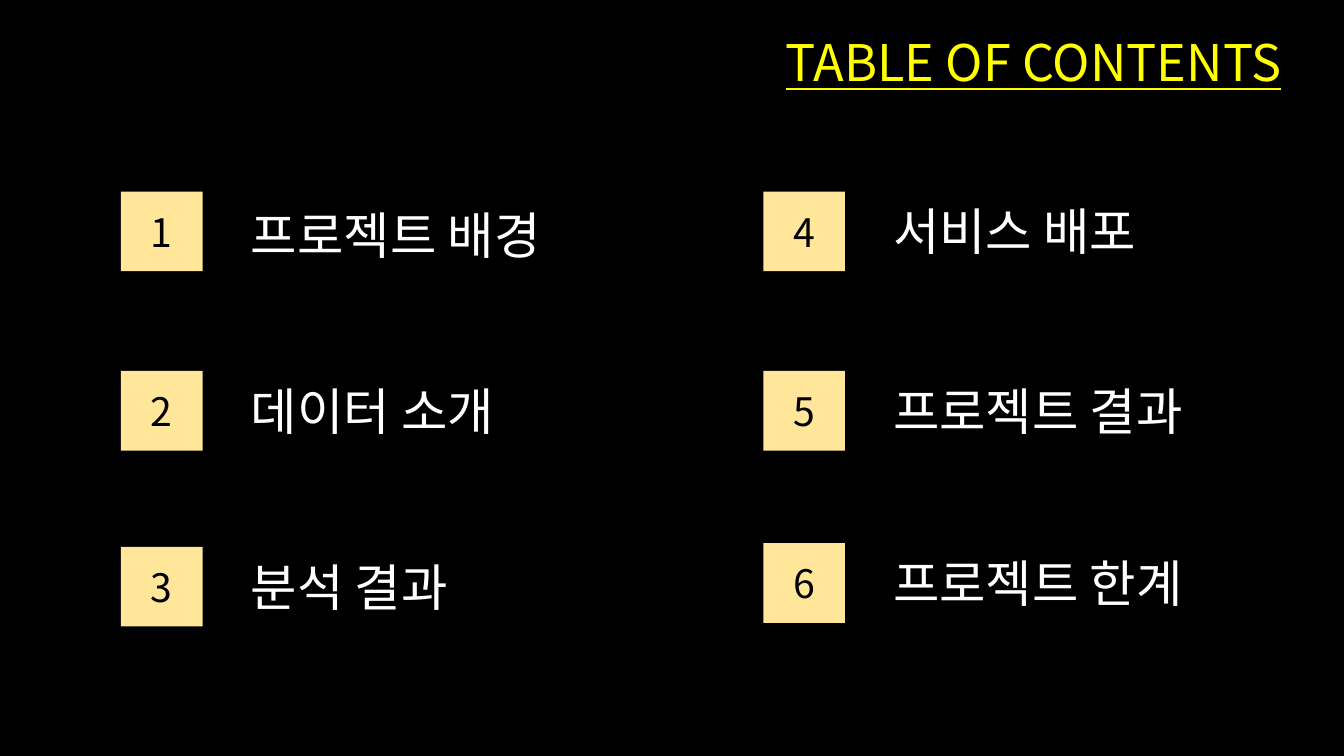
from dataclasses import dataclass

from lxml import etree
from pptx import Presentation
from pptx.dml.color import RGBColor
from pptx.enum.shapes import MSO_SHAPE
from pptx.enum.text import MSO_ANCHOR, MSO_AUTO_SIZE, PP_ALIGN
from pptx.oxml.ns import qn
from pptx.util import Inches, Pt

RECTANGLE = MSO_SHAPE.RECTANGLE
MIDDLE = MSO_ANCHOR.MIDDLE
FIT_SHAPE = MSO_AUTO_SIZE.SHAPE_TO_FIT_TEXT
LEFT, CENTER = PP_ALIGN.LEFT, PP_ALIGN.CENTER


@dataclass(frozen=True)
class Theme:
    font: str = "Noto Sans CJK KR"
    background: str = "000000"
    heading: str = "FFFF00"
    badge: str = "FFE699"
    number: str = "000000"
    topic: str = "FFFFFF"
    large: int = 36
    medium: int = 28


@dataclass(frozen=True)
class Grid:
    """Columns and rows of contents entries, measured in inches."""
    left: float = 1.2
    top: float = 1.9
    column_width: float = 6.37
    row_height: float = 1.78

    def position(self, column, row):
        return self.left + column * self.column_width, self.top + row * self.row_height


BADGE_SIZE = (0.81, 0.79)
TOPIC_INDENT = 1.19
TEXT_HEIGHT = 0.71
SYLLABLE_WIDTH = 0.49

# Topic, grid column, grid row, drop of the topic below the badge top
CONTENTS = [
    ("프로젝트 배경", 0, 0, 0.08),
    ("데이터 소개", 0, 1, 0.04),
    ("분석 결과", 0, 1.98, 0.04),
    ("서비스 배포", 1, 0, 0.04),
    ("프로젝트 결과", 1, 1, 0.04),
    ("프로젝트 한계", 1, 1.96, 0.04),
]


def write(frame, text, *, font, size, color, align=LEFT, underline=None):
    paragraph = frame.paragraphs[0]
    paragraph.alignment = align
    run = paragraph.add_run()
    run.text = text
    run.font.name = font
    run.font.size = Pt(size)
    run.font.color.rgb = RGBColor.from_string(color)
    run.font.underline = underline
    latin = run.font._element.find(qn("a:latin"))
    east_asian = etree.Element(qn("a:ea"), typeface=font)
    latin.addnext(east_asian)


class ContentsSlide:
    def __init__(self, presentation, theme, grid):
        self.theme = theme
        self.grid = grid
        self.slide = presentation.slides.add_slide(presentation.slide_layouts[6])
        fill = self.slide.background.fill
        fill.solid()
        fill.fore_color.rgb = RGBColor.from_string(theme.background)

    def label(self, text, left, top, width, **style):
        box = self.slide.shapes.add_textbox(*map(Inches, (left, top, width, TEXT_HEIGHT)))
        frame = box.text_frame
        frame.word_wrap = False
        frame.auto_size = FIT_SHAPE
        write(frame, text, font=self.theme.font, size=self.theme.large, **style)

    def heading(self, text):
        self.label(text, 7.47, 0.26, 5.56, color=self.theme.heading,
                   align=CENTER, underline=True)

    def badge(self, number, left, top):
        square = self.slide.shapes.add_shape(RECTANGLE, *map(Inches, (left, top, *BADGE_SIZE)))
        square.shadow.inherit = False
        square.fill.solid()
        square.fill.fore_color.rgb = RGBColor.from_string(self.theme.badge)
        square.line.fill.background()
        square.text_frame.vertical_anchor = MIDDLE
        write(square.text_frame, str(number), font=self.theme.font,
              size=self.theme.medium, color=self.theme.number, align=CENTER)

    def entry(self, number, topic, column, row, drop):
        left, top = self.grid.position(column, row)
        self.badge(number, left, top)
        self.label(topic, left + TOPIC_INDENT, top + drop,
                   len(topic) * SYLLABLE_WIDTH - 0.17, color=self.theme.topic)


def main():
    presentation = Presentation()
    presentation.slide_width = Inches(13.33)
    presentation.slide_height = Inches(7.5)
    contents = ContentsSlide(presentation, Theme(), Grid())
    contents.heading("TABLE OF CONTENTS")
    for number, item in enumerate(CONTENTS, start=1):
        contents.entry(number, *item)
    presentation.save("out.pptx")


if __name__ == "__main__":
    main()
